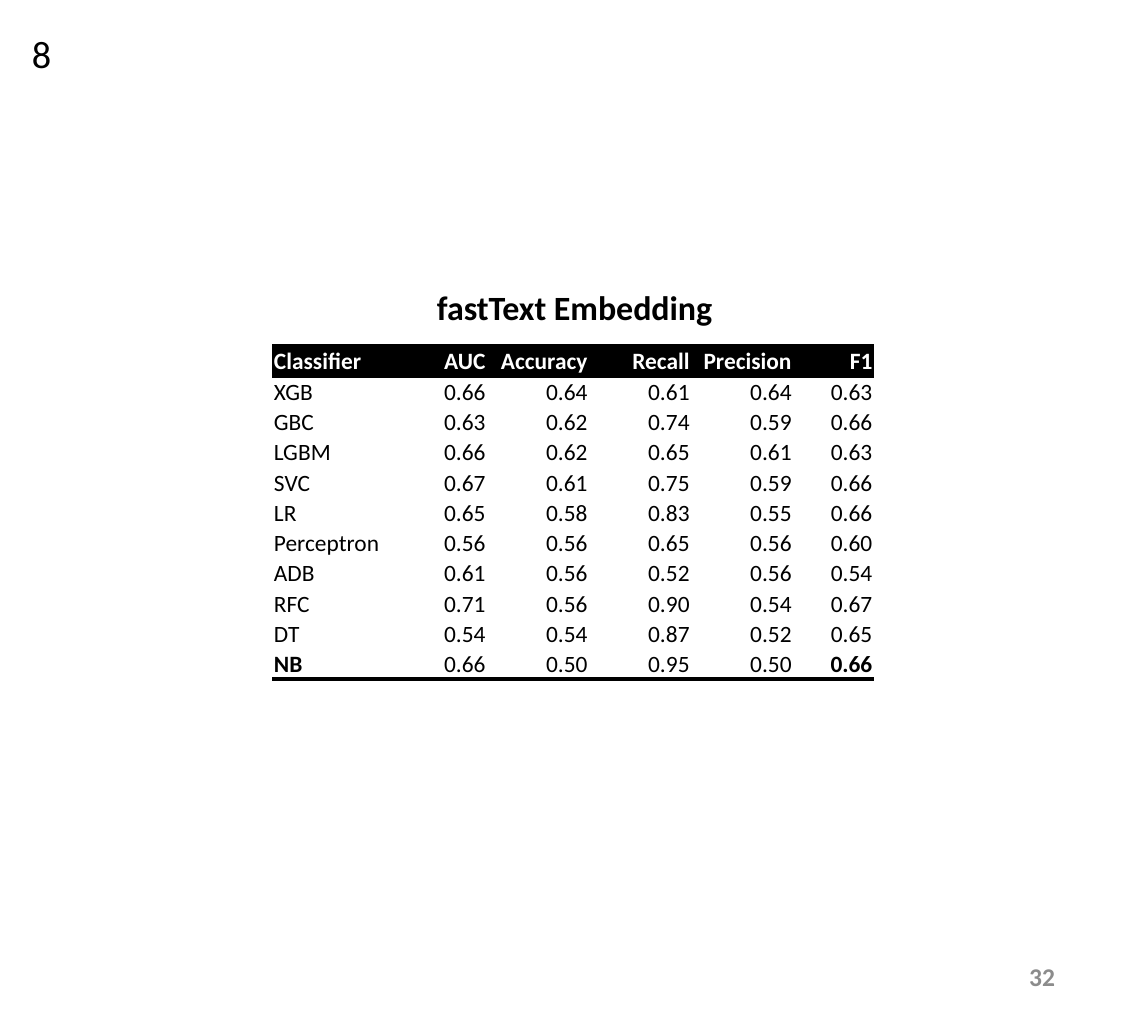
from pptx import Presentation
from pptx.dml.color import RGBColor
from pptx.enum.text import MSO_ANCHOR, MSO_AUTO_SIZE, PP_ALIGN
from pptx.oxml import parse_xml
from pptx.oxml.ns import nsdecls
from pptx.util import Inches, Pt

COLORS = {"ink": "000000", "paper": "FFFFFF", "muted": "8C8C8C"}
NO_STYLE = "{2D5ABB26-0587-4C30-8999-92F81FD0307C}"
COLUMN_WIDTHS = [0.74, 0.67, 0.67, 0.67, 0.67, 0.53]
HEADINGS = ["Classifier", "AUC", "Accuracy", "Recall", "Precision", "F1"]
SCORES = [
    ["XGB", 0.66, 0.64, 0.61, 0.64, 0.63],
    ["GBC", 0.63, 0.62, 0.74, 0.59, 0.66],
    ["LGBM", 0.66, 0.62, 0.65, 0.61, 0.63],
    ["SVC", 0.67, 0.61, 0.75, 0.59, 0.66],
    ["LR", 0.65, 0.58, 0.83, 0.55, 0.66],
    ["Perceptron", 0.56, 0.56, 0.65, 0.56, 0.60],
    ["ADB", 0.61, 0.56, 0.52, 0.56, 0.54],
    ["RFC", 0.71, 0.56, 0.90, 0.54, 0.67],
    ["DT", 0.54, 0.54, 0.87, 0.52, 0.65],
    ["NB", 0.66, 0.50, 0.95, 0.50, 0.66],
]


def write(frame, text, size=11, color="ink", bold=False, align=PP_ALIGN.LEFT):
    paragraph = frame.paragraphs[0]
    paragraph.alignment = align
    run = paragraph.add_run()
    run.text = text
    run.font.name = "Calibri"
    run.font.size = Pt(size)
    run.font.bold = bold
    run.font.color.rgb = RGBColor.from_string(COLORS[color])


def add_rule(cell, side):
    """Draw a 2 pt line on the top (T) or bottom (B) of a cell."""
    cell._tc.get_or_add_tcPr().append(parse_xml(
        f'<a:ln{side} {nsdecls("a")} w="25400"><a:solidFill>'
        f'<a:srgbClr val="{COLORS["ink"]}"/></a:solidFill></a:ln{side}>'))


def add_heading(slide, left, top, width, height):
    heading = slide.shapes.title
    heading.left, heading.top = Inches(left), Inches(top)
    heading.width, heading.height = Inches(width), Inches(height)
    frame = heading.text_frame
    frame.word_wrap = True
    frame.auto_size = MSO_AUTO_SIZE.NONE
    frame.vertical_anchor = MSO_ANCHOR.TOP
    write(frame, "fastText Embedding", size=16, bold=True, align=PP_ALIGN.CENTER)


def add_label(slide, text, left, top, width, height, wrap=True,
              anchor=MSO_ANCHOR.TOP, **text_format):
    label = slide.shapes.add_textbox(
        Inches(left), Inches(top), Inches(width), Inches(height))
    label.text_frame.word_wrap = wrap
    label.text_frame.vertical_anchor = anchor
    write(label.text_frame, text, **text_format)


def add_scores(slide, left, top, width, height):
    rows = [HEADINGS] + [[name] + [f"{score:.2f}" for score in scores]
                         for name, *scores in SCORES]
    last = len(rows) - 1
    scores_table = slide.shapes.add_table(
        len(rows), len(HEADINGS), Inches(left), Inches(top),
        Inches(width), Inches(height)).table
    scores_table.first_row = True
    scores_table.horz_banding = False
    scores_table._tbl.tblPr[0].text = NO_STYLE
    for column, share in zip(scores_table.columns, COLUMN_WIDTHS):
        column.width = Inches(width * share / sum(COLUMN_WIDTHS))

    for r, row in enumerate(rows):
        header = r == 0
        for c, text in enumerate(row):
            cell = scores_table.cell(r, c)
            cell.margin_left = cell.margin_right = cell.margin_top = Inches(0.01)
            cell.margin_bottom = 0
            cell.vertical_anchor = MSO_ANCHOR.BOTTOM
            # Rules frame the header and close the last row
            if header:
                add_rule(cell, "T")
            if r in (0, last):
                add_rule(cell, "B")
            cell.fill.solid()
            cell.fill.fore_color.rgb = RGBColor.from_string(
                COLORS["ink" if header else "paper"])
            # The last classifier's name and F1 are emphasised
            write(cell.text_frame, text,
                  color="paper" if header else "ink",
                  bold=header or (r == last and c in (0, len(row) - 1)),
                  align=PP_ALIGN.RIGHT if c else PP_ALIGN.LEFT)


def main():
    deck = Presentation()
    deck.slide_width, deck.slide_height = Inches(7.5), Inches(6.69)
    slide = deck.slides.add_slide(deck.slide_layouts[5])
    add_heading(slide, 1.88, 1.82, 3.75, 0.37)
    # Page number and corner number
    add_label(slide, "32", 5.3, 6.2, 1.69, 0.36, anchor=MSO_ANCHOR.MIDDLE,
              size=12, color="muted", bold=True, align=PP_ALIGN.RIGHT)
    add_label(slide, "8", 0.11, 0.15, 0.33, 0.4, wrap=False, size=18)
    add_scores(slide, 1.78, 2.26, 3.93, 2.18)
    deck.save("out.pptx")


if __name__ == "__main__":
    main()
